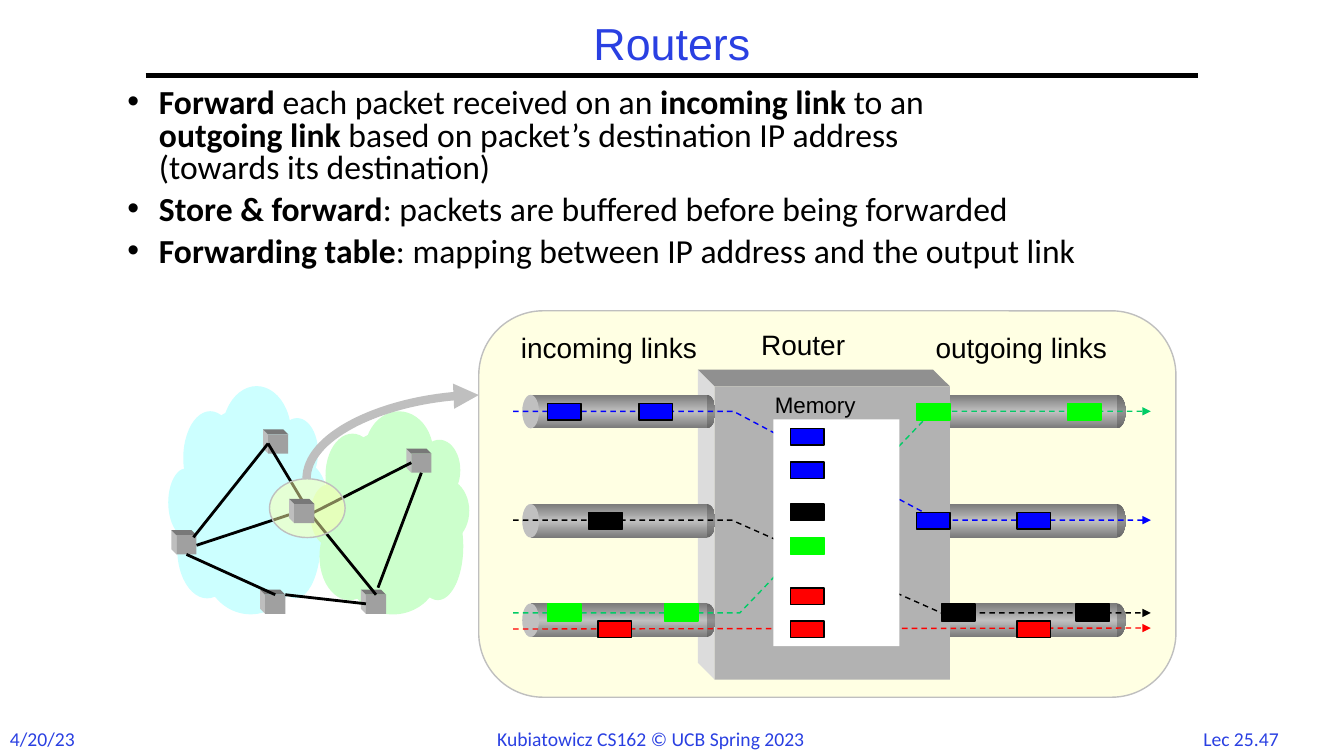
"""Build the Routers slide: bullets, a small network and the inside of a router."""
import copy
import pptx
import pptx.dml.color
import pptx.enum.dml
import pptx.enum.shapes
import pptx.enum.text
import pptx.oxml
import pptx.oxml.ns
import pptx.util
from lxml import etree

Pt = pptx.util.Pt
RGBColor = pptx.dml.color.RGBColor
SHAPE = pptx.enum.shapes.MSO_SHAPE
CONNECTOR = pptx.enum.shapes.MSO_CONNECTOR
ALIGN = pptx.enum.text.PP_ALIGN
qn = pptx.oxml.ns.qn

BLACK = RGBColor(0, 0, 0)
WHITE = RGBColor(255, 255, 255)
INDIGO = RGBColor(0x2A, 0x40, 0xE2)
BLUE = RGBColor(0, 0, 255)
GREEN = RGBColor(0, 255, 0)
RED = RGBColor(255, 0, 0)
LINK_GREEN = RGBColor(0, 0xCC, 0x66)
CREAM = RGBColor(0xFF, 0xFF, 0xAA)
SILVER = RGBColor(0xBF, 0xBF, 0xBF)
CYAN = RGBColor(0xCC, 0xFF, 0xFF)
MINT = RGBColor(0xCC, 0xFF, 0xCC)
PIPE_END = RGBColor(0xC0, 0xC0, 0xC0)
PIPE_EDGE = RGBColor(0x7A, 0x7A, 0x7A)
CAP_EDGE = RGBColor(0x67, 0x67, 0x67)
CAP_MIDDLE = RGBColor(0x91, 0x91, 0x91)
ROUTER_FACES = (RGBColor(0xB2, 0xB2, 0xB2), RGBColor(0xDC, 0xDC, 0xDC), RGBColor(0x90, 0x90, 0x90))
NODE_FACES = (RGBColor(0xA0, 0xA0, 0xA0), RGBColor(0xBE, 0xBE, 0xBE), RGBColor(0x78, 0x78, 0x78))

BULLETS = [
    [("Forward", True), (" each packet received on an ", False), ("incoming link ", True),
     ("to an \n", False), ("outgoing link ", True),
     ("based on packet’s destination IP address \n(towards its destination)", False)],
    [("Store & forward", True), (": packets are buffered before being forwarded", False)],
    [("Forwarding table", True), (": mapping between IP address and the output link", False)],
]
FOOTERS = [
    ("4/20/23", (0, 515.5, 61, 24.5), ALIGN.LEFT),
    ("Kubiatowicz CS162 © UCB Spring 2023", (348, 515.5, 265, 24.5), ALIGN.LEFT),
    ("Lec 25.47", (847.5, 515.5, 78, 24.5), ALIGN.CENTER),
]
DIAGRAM_LABELS = [
    ("incoming links", (371.5, 236, 127, 24.5)),
    ("outgoing links", (668, 236, 123, 24.5)),
    ("Router", (543.5, 234, 60.5, 24.5)),
]
PIPE_LEFTS = (666, 373)
PIPE_TOPS = (431, 360, 282)
FLOWS = [
    (RED, [(366.5, 449.3), (822, 448.6)]),
    (LINK_GREEN, [(366.5, 437.8), (528.5, 437.8), (666, 293.8), (822, 293.8)]),
    (BLUE, [(366.5, 293.8), (524, 293.8), (670.3, 371.5), (822, 371.5)]),
    (BLACK, [(366.5, 371.5), (522.7, 371.5), (672.5, 437.8), (822, 437.8)]),
]
PACKETS = [
    (BLUE, BLACK, [(391, 288), (456.5, 288), (564.5, 306), (564.5, 330), (654.5, 366), (726.5, 366)]),
    (BLACK, BLACK, [(420.5, 366), (564.5, 360), (672.5, 431.5), (768.5, 431.5)]),
    (GREEN, GREEN, [(391, 431.5), (474.5, 431.5), (564.5, 384), (654.5, 288), (762.5, 288)]),
    (RED, BLACK, [(427, 443.5), (564.5, 443.5), (564.5, 420), (726.5, 443.5)]),
]
CLOUD_SIZE = (214, 163)
CLOUD_LOBES = [
    (0.18, 0, 0.23, 0.41), (0.05, 0.11, 0.18, 0.41), (0, 0.36, 0.12, 0.3),
    (0.03, 0.5, 0.2, 0.43), (0.12, 0.57, 0.31, 0.43), (0.36, 0.14, 0.14, 0.3),
    (0.36, 0.33, 0.17, 0.32), (0.34, 0.4, 0.17, 0.53), (0.04, 0.09, 0.46, 0.89),
]
CLOUDS = [(CYAN, 120.2, 275.8, 1), (MINT, 221.8, 293.8, 0.89)]
NODES = [(293.8, 324), (261.4, 424.8), (191.5, 310.3), (126, 382.3), (189.4, 424.8)]
CENTRAL_NODE = (210.2, 360)
NODE_LINKS = [
    ((221.8, 367.2), (268.6, 424.8)), ((217.4, 360), (191.5, 316.8)),
    ((221.8, 367.2), (293.8, 330.5)), ((138.2, 383.8), (191.5, 316.8)),
    ((133.2, 396), (196.6, 424.8)), ((140.4, 389.5), (210.2, 366.5)),
    ((203.8, 424.8), (261.4, 431.3)), ((270, 419.8), (301, 337.7)),
]


def points(*values):
    return [Pt(value) for value in values]


def add_preset(slide, kind, box, fill, line=None, alpha=None):
    shape = slide.shapes.add_shape(kind, *points(*box))
    finish(shape, fill, line)
    if alpha:
        color = shape._element.spPr.find(qn("a:solidFill"))[0]
        etree.SubElement(color, qn("a:alpha")).set("val", str(alpha * 1000))
    return shape


def finish(shape, fill, line=None):
    shape.shadow.inherit = False
    if fill is None:
        shape.fill.background()
    else:
        shape.fill.solid()
        shape.fill.fore_color.rgb = fill
    if line is None:
        shape.line.fill.background()
    else:
        shape.line.color.rgb = line
        shape.line.width = Pt(1)


def add_outline(slide, corners, fill, line=None, close=True):
    start, *rest = [points(*corner) for corner in corners]
    builder = slide.shapes.build_freeform(*start, scale=1.0)
    builder.add_line_segments(rest, close=close)
    shape = builder.convert_to_shape()
    finish(shape, fill, line)
    return shape


def add_line(slide, start, end, color, width, kind=CONNECTOR.STRAIGHT):
    line = slide.shapes.add_connector(kind, *points(*start, *end))
    line.line.color.rgb = color
    line.line.width = Pt(width)
    etree.SubElement(line._element.spPr, qn("a:effectLst"))
    return line


def add_arrowhead(shape, end):
    etree.SubElement(shape.line._get_or_add_ln(), qn(end)).set("type", "triangle")


def shade(shape, edge, middle):
    shape.fill.gradient()
    stops = shape._element.spPr.find(qn("a:gradFill")).find(qn("a:gsLst"))
    stops.insert(1, copy.deepcopy(stops[0]))
    for stop, position, color in zip(shape.fill.gradient_stops, (0, 0.5, 1), (edge, middle, edge)):
        stop.position = position
        stop.color.rgb = color
    shape.fill.gradient_angle = 90


def add_block(slide, left, top, width, height, depth, faces):
    front, side, lid = faces
    right, bottom = left + width, top + height
    back = (left - depth, top - depth)
    add_outline(slide, [back, (left, top), (left, bottom), (left - depth, bottom - depth)], side)
    add_outline(slide, [back, (right - depth, top - depth), (right, top), (left, top)], lid)
    add_preset(slide, SHAPE.RECTANGLE, (left, top, width, height), front)


def add_pipe(slide, left, top):
    cap = add_preset(slide, SHAPE.OVAL, (left + 126, top, 12, 24), PIPE_END)
    shade(cap, CAP_EDGE, CAP_MIDDLE)
    tube = add_preset(slide, SHAPE.RECTANGLE, (left + 6, top, 126, 24), PIPE_END)
    shade(tube, PIPE_EDGE, PIPE_END)
    add_preset(slide, SHAPE.OVAL, (left, top, 12, 24), PIPE_END)


def add_run(paragraph, text, font, size, color, bold=None):
    for index, piece in enumerate(text.split("\n")):
        if index:
            paragraph.add_line_break()
        if piece:
            run = paragraph.add_run()
            run.text = piece
            run.font.name, run.font.size, run.font.bold = font, Pt(size), bold
            run.font.color.rgb = color


def add_label(slide, text, box, font, size, color, align=ALIGN.CENTER, inset=True):
    frame = slide.shapes.add_textbox(*points(*box)).text_frame
    frame.word_wrap = False
    if not inset:
        frame.margin_left = frame.margin_right = frame.margin_top = frame.margin_bottom = 0
    frame.paragraphs[0].alignment = align
    add_run(frame.paragraphs[0], text, font, size, color)


def add_text(slide):
    title = slide.shapes.title
    title.left, title.top, title.width, title.height = points(104, 12, 752, 42)
    title.text_frame.vertical_anchor = pptx.enum.text.MSO_ANCHOR.MIDDLE
    heading = title.text_frame.paragraphs[0]
    heading.alignment = ALIGN.CENTER
    heading.line_spacing = 0.9
    add_run(heading, "Routers", "Arial", 32, INDIGO)
    add_line(slide, (104, 54), (856, 54), BLACK, 3)
    frame = slide.shapes.add_textbox(*points(84, 60, 792, 145)).text_frame
    frame.word_wrap = True
    for index, runs in enumerate(BULLETS):
        paragraph = frame.add_paragraph() if index else frame.paragraphs[0]
        paragraph.line_spacing = 0.8
        paragraph.space_before = Pt(7.2 if index else 0)
        properties = paragraph._p.get_or_add_pPr()
        properties.set("marL", str(Pt(22.5)))
        properties.set("indent", str(-Pt(22.5)))
        etree.SubElement(properties, qn("a:buFont")).set("typeface", "Arial")
        etree.SubElement(properties, qn("a:buChar")).set("char", "•")
        for text, bold in runs:
            add_run(paragraph, text, "Calibri", 24, BLACK, bold)
    for text, box, align in FOOTERS:
        add_label(slide, text, box, "Calibri", 14, INDIGO, align)


def add_router(slide):
    add_preset(slide, SHAPE.ROUNDED_RECTANGLE, (342, 222, 498, 276), CREAM, SILVER, 32)
    for left in PIPE_LEFTS:
        if left == PIPE_LEFTS[-1]:
            add_block(slide, 510.5, 276, 168, 209.5, 12, ROUTER_FACES)
        for top in PIPE_TOPS:
            add_pipe(slide, left, top)
    for color, corners in FLOWS:
        if len(corners) == 2:
            flow = add_line(slide, *corners, color, 1)
        else:
            flow = add_outline(slide, corners, None, color, close=False)
        flow.line.dash_style = pptx.enum.dml.MSO_LINE.DASH
        add_arrowhead(flow, "a:tailEnd")
    add_preset(slide, SHAPE.RECTANGLE, (552.5, 299.5, 90, 162), WHITE)
    for fill, line, corners in PACKETS:
        for corner in corners:
            add_preset(slide, SHAPE.RECTANGLE, (*corner, 24, 12), fill, line)
    for text, box in DIAGRAM_LABELS:
        add_label(slide, text, box, "Arial", 20, BLACK, inset=False)
    add_label(slide, "Memory", (546, 276, 72.5, 26.5), "Arial", 16, BLACK)


def add_network(slide):
    across, down = CLOUD_SIZE
    for color, left, top, stretch in CLOUDS:
        tall = down * stretch
        for x, y, width, height in CLOUD_LOBES:
            box = (left + x * across, top + y * tall, width * across, height * tall)
            add_preset(slide, SHAPE.OVAL, box, color)
    for node in NODES:
        add_block(slide, *node, 14.4, 13.7, 3.6, NODE_FACES)
    for start, end in NODE_LINKS:
        add_line(slide, start, end, BLACK, 2)
    add_preset(slide, SHAPE.OVAL, (192.5, 342, 54, 42), CREAM, SILVER, 49)
    add_block(slide, *CENTRAL_NODE, 14.4, 13.7, 3.6, NODE_FACES)
    zoom = add_line(slide, (342, 282.2), (219, 342), SILVER, 6, CONNECTOR.CURVE)
    zoom._element.spPr.find(qn("a:prstGeom")).set("prst", "curvedConnector2")
    add_arrowhead(zoom, "a:headEnd")


def main():
    presentation = pptx.Presentation()
    presentation.slide_width, presentation.slide_height = points(960, 540)
    slide = presentation.slides.add_slide(presentation.slide_layouts[5])
    add_text(slide)
    add_router(slide)
    add_network(slide)
    presentation.save("out.pptx")


if __name__ == "__main__":
    main()
